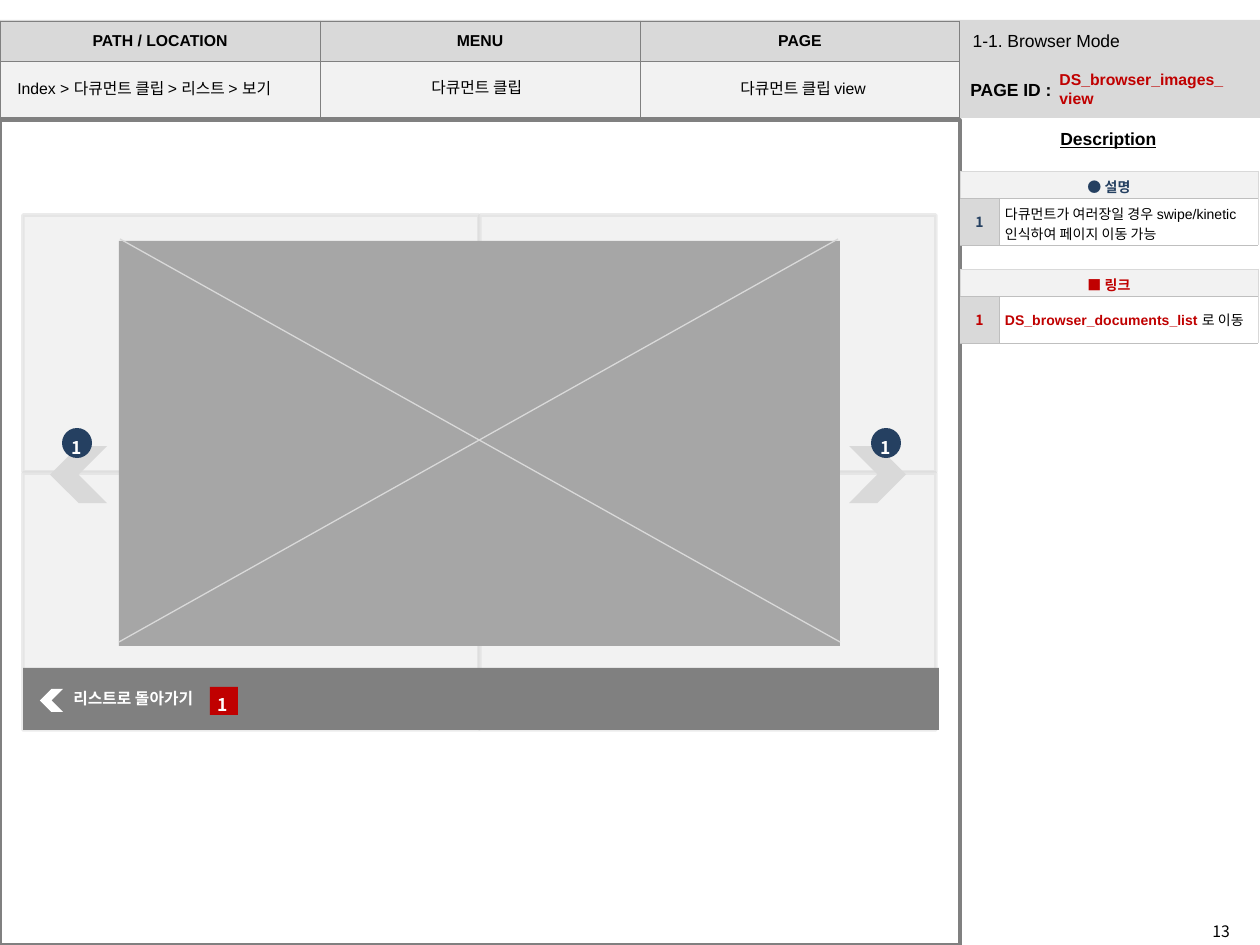
"""Build the wireframe page for the document clip viewer."""
from lxml import etree
from pptx import Presentation
from pptx.dml.color import RGBColor
from pptx.enum.shapes import MSO_CONNECTOR, MSO_SHAPE
from pptx.enum.text import MSO_ANCHOR, MSO_AUTO_SIZE, PP_ALIGN
from pptx.oxml.ns import qn
from pptx.util import Emu, Pt

RECT, OVAL, CHEVRON = MSO_SHAPE.RECTANGLE, MSO_SHAPE.OVAL, MSO_SHAPE.CHEVRON
STRAIGHT = MSO_CONNECTOR.STRAIGHT
LEFT, CENTER, MIDDLE = PP_ALIGN.LEFT, PP_ALIGN.CENTER, MSO_ANCHOR.MIDDLE
PX = 914400 / 126
LATIN, KOREAN = "Arial", "Noto Sans CJK KR"
BLACK, WHITE, NAVY, RED = "000000", "FFFFFF", "254061", "C00000"
PALE, LIGHT, SILVER, MID, DARK = "F2F2F2", "D9D9D9", "BFBFBF", "A6A6A6", "808080"

SECTION = "1-1. Browser Mode"
HEADINGS = ["PATH / LOCATION", "MENU", "PAGE"]
LABELS = [
    ("PAGE ID :", (958, 73, 128, 34), dict(size=10, bold=True)),
    ("Description", (1048, 122, 147, 34), dict(size=10, bold=True, underline=True)),
    ("DS_browser_images_view", (1047, 64, 194, 50), dict(color=RED, bold=True)),
    ("Index > 다큐먼트 클립 > 리스트 > 보기", (5, 73, 329, 32), {}),
    ("다큐먼트 클립", (419, 72, 130, 32), {}),
    ("다큐먼트 클립 view", (713, 73, 180, 32), dict(align=CENTER)),
    ("13", (1200, 916, 60, 29), dict(font=KOREAN)),
]
NOTES = [
    ("● 설명", NAVY, 171, 0.25,
     [("다큐먼트가 여러장일 경우 swipe/kinetic 인식하여 페이지 이동 가능", BLACK, False)]),
    ("■ 링크", RED, 269, 0.5,
     [("DS_browser_documents_list", RED, True), (" 로 이동", BLACK, False)]),
]
BACK_LABEL = "리스트로 돌아가기"
BADGES = [(OVAL, NAVY, (62, 428, 30, 30), (59, 420)),
          (OVAL, NAVY, (871, 428, 30, 30), (868, 420)),
          (RECT, RED, (210, 687, 28, 28), (205, 677))]


def px(value):
    return Emu(round(value * PX))


def place(box):
    return [px(value) for value in box]


def rgb(color):
    return RGBColor.from_string(color)


def style_run(run, size=9, color=BLACK, bold=False, underline=False, font=LATIN):
    run.font.size, run.font.bold, run.font.name = Pt(size), bold, font
    run.font.underline = underline
    run.font.color.rgb = rgb(color)
    etree.SubElement(run._r.get_or_add_rPr(), qn("a:ea"), typeface=KOREAN)


def write(frame, text, align=LEFT, **style):
    frame.text = text
    paragraph = frame.paragraphs[0]
    paragraph.alignment = align
    style_run(paragraph.runs[0], **style)
    return paragraph


def add_label(shapes, text, box, **style):
    frame = shapes.add_textbox(*place(box)).text_frame
    frame.word_wrap = True
    return write(frame, text, **style)


def add_block(shapes, kind, box, fill=None, line=None):
    block = shapes.add_shape(kind, *place(box))
    block.shadow.inherit = False
    if fill:
        block.fill.solid()
        block.fill.fore_color.rgb = rgb(fill)
    else:
        block.fill.background()
    if line:
        block.line.color.rgb = rgb(line)
        block.line.width = Pt(2)
    else:
        block.line.fill.background()
    return block


def add_diagonal(shapes, start, end):
    diagonal = shapes.add_connector(STRAIGHT, *place(start + end))
    diagonal.line.color.rgb = rgb(LIGHT)
    diagonal.line.width = Pt(0.75)
    etree.SubElement(diagonal._element.spPr, qn("a:effectLst"))


def add_badge(shapes, kind, fill, box, corner):
    badge = shapes.add_group_shape().shapes
    add_block(badge, kind, box, fill)
    number = add_label(badge, "1", corner + (53, 40), size=10, color=WHITE,
                       bold=True, font=KOREAN)
    number.line_spacing = 1.5


def add_grid(shapes, left, top, widths, heights):
    grid = shapes.add_table(len(heights), len(widths),
                            *place((left, top, sum(widths), sum(heights)))).table
    grid.first_row = grid.horz_banding = False
    for column, width in zip(grid.columns, widths):
        column.width = px(width)
    for row, height in zip(grid.rows, heights):
        row.height = px(height)
    return grid


def style_cell(cell, fill, borders):
    cell.vertical_anchor = MIDDLE
    if fill:
        cell.fill.solid()
        cell.fill.fore_color.rgb = rgb(fill)
    else:
        cell.fill.background()
    properties = cell._tc.get_or_add_tcPr()
    for index, (side, (color, width)) in enumerate(zip("LRTB", borders)):
        edge = etree.Element(qn(f"a:ln{side}"), w=str(Pt(width)))
        paint = etree.SubElement(edge, qn("a:solidFill"))
        etree.SubElement(paint, qn("a:srgbClr"), val=color)
        properties.insert(index, edge)


def add_header(shapes):
    grid = add_grid(shapes, 0, 21, [320] * 3, [40, 56])
    for column, heading in enumerate(HEADINGS):
        for row, fill in enumerate((LIGHT, PALE)):
            style_cell(grid.cell(row, column), fill, [(DARK, 0.5)] * 4)
        write(grid.cell(0, column).text_frame, heading, CENTER, bold=True)


def add_note(shapes, heading, color, top, outer_width, parts):
    grid = add_grid(shapes, 960, top, [39, 259], [27, 47])
    outer, inner = (LIGHT, outer_width), (SILVER, 0.25)
    grid.cell(0, 0).merge(grid.cell(0, 1))
    looks = [(0, 0, PALE, [outer, outer, outer, inner]),
             (0, 1, PALE, [outer, outer, outer, inner]),
             (1, 0, LIGHT, [outer, inner, inner, inner]),
             (1, 1, None, [inner, outer, inner, inner])]
    for row, column, fill, borders in looks:
        cell = grid.cell(row, column)
        style_cell(cell, fill, borders)
        cell.margin_left = cell.margin_right = px(6)
        cell.margin_top = cell.margin_bottom = px(5)
    for row, text in enumerate((heading, "1")):
        write(grid.cell(row, 0).text_frame, text, CENTER, size=8, color=color,
              bold=True, font=KOREAN)
    paragraph = grid.cell(1, 1).text_frame.paragraphs[0]
    for text, part_color, bold in parts:
        run = paragraph.add_run()
        run.text = text
        style_run(run, size=8, color=part_color, bold=bold)


def add_viewer(shapes):
    for top in (215, 473):
        for left in (23, 480):
            panel = add_block(shapes, RECT, (left, top, 456, 257), PALE, LIGHT)
            tint = panel.line._ln.find(".//" + qn("a:srgbClr"))
            etree.SubElement(tint, qn("a:alpha"), val="50000")
    add_block(shapes, RECT, (23, 668, 916, 62), DARK)
    add_block(shapes, CHEVRON, (40, 689, 23, 23), WHITE).rotation = 180
    add_label(shapes, BACK_LABEL, (61, 683, 290, 32), color=WHITE, bold=True)
    add_block(shapes, RECT, (119, 241, 721, 405), MID)
    add_diagonal(shapes, (120, 239), (840, 642))
    add_diagonal(shapes, (119, 642), (838, 239))
    for left, turn in ((50, 180), (849, 0)):
        add_block(shapes, CHEVRON, (left, 446, 57, 57), LIGHT).rotation = turn
    for badge in BADGES:
        add_badge(shapes, *badge)


def main():
    deck = Presentation()
    deck.slide_width, deck.slide_height = px(1260), px(945)
    slide = deck.slides.add_slide(deck.slide_layouts[5])
    shapes = slide.shapes
    add_block(shapes, RECT, (0, 20, 1260, 98), LIGHT)
    add_block(shapes, RECT, (0, 120, 960, 825), line=DARK)
    add_header(shapes)

    title = shapes.title
    title.left, title.top, title.width, title.height = place((960, 9, 300, 64))
    title.text_frame.auto_size = MSO_AUTO_SIZE.NONE
    title.text_frame.vertical_anchor = MIDDLE
    write(title.text_frame, SECTION, size=10)
    shapes._spTree.append(title._element)

    for text, box, style in LABELS:
        add_label(shapes, text, box, **style)
    add_viewer(shapes)
    for note in NOTES:
        add_note(shapes, *note)
    deck.save("out.pptx")


if __name__ == "__main__":
    main()
